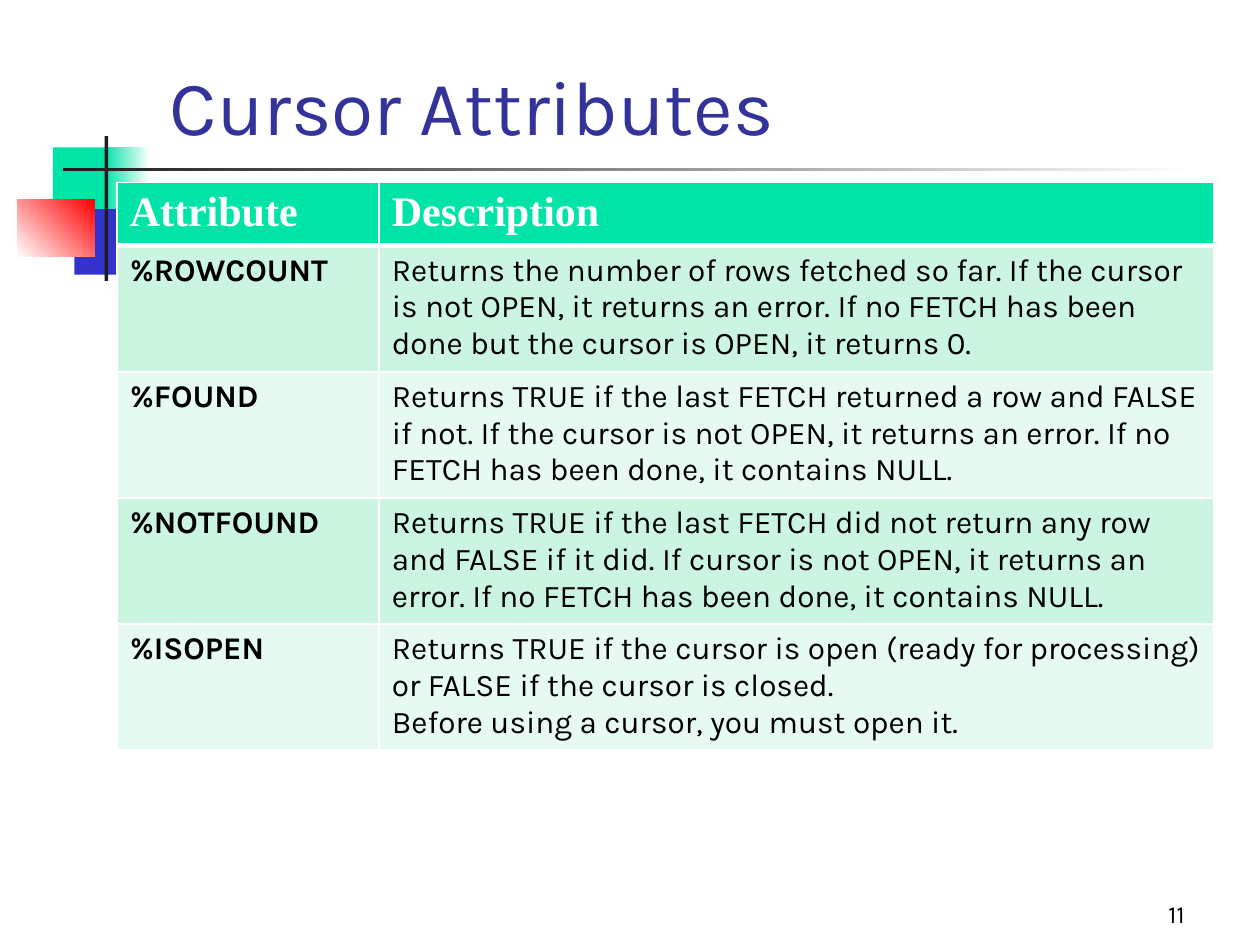
from lxml import etree
from pptx import Presentation
from pptx.dml.color import RGBColor
from pptx.enum.shapes import MSO_SHAPE as Shape
from pptx.enum.text import MSO_ANCHOR as Anchor, PP_ALIGN as Align
from pptx.oxml.ns import qn
from pptx.util import Inches, Pt

WHITE = RGBColor(0xFF, 0xFF, 0xFF)
BLACK = RGBColor(0x00, 0x00, 0x00)
GREEN = RGBColor(0x00, 0xE4, 0xA8)
BLUE = RGBColor(0x33, 0x33, 0xCC)
RED = RGBColor(0xFF, 0x00, 0x00)
CHARCOAL = RGBColor(0x1C, 0x1C, 0x1C)
INDIGO = RGBColor(0x33, 0x33, 0x99)
MINT = RGBColor(0xCC, 0xF5, 0xE1)
PALE_MINT = RGBColor(0xE7, 0xFA, 0xF1)

HEADINGS = ("Attribute", "Description")
ATTRIBUTES = [
    ("%ROWCOUNT", "Returns the number of rows fetched so far. If the cursor is not OPEN, "
     "it returns an error. If no FETCH has been done but the cursor is OPEN, it returns 0."),
    ("%FOUND", "Returns TRUE if the last FETCH returned a row and FALSE if not. "
     "If the cursor is not OPEN, it returns an error. If no FETCH has been done, it contains NULL."),
    ("%NOTFOUND", "Returns TRUE if the last FETCH did not return any row and FALSE if it did. "
     "If cursor is not OPEN, it returns an error. If no FETCH has been done, it contains NULL."),
    ("%ISOPEN", "Returns TRUE if the cursor is open (ready for processing) or FALSE if the cursor "
     "is closed.\nBefore using a cursor, you must open it."),
]


def write(frame, text, size=18, color=BLACK, font="Karla", bold=False, align=Align.LEFT):
    for index, line in enumerate(text.split("\n")):
        para = frame.add_paragraph() if index else frame.paragraphs[0]
        para.alignment = align
        span = para.add_run()
        span.text = line
        span.font.name = font
        span.font.size = Pt(size)
        span.font.bold = bold
        span.font.color.rgb = color


def add_text(page, box, text, **style):
    frame = page.shapes.add_textbox(*map(Inches, box)).text_frame
    frame.word_wrap = True
    frame.vertical_anchor = Anchor.BOTTOM
    write(frame, text, **style)


def add_block(page, box, start, end=None, angle=0):
    block = page.shapes.add_shape(Shape.RECTANGLE, *map(Inches, box))
    block.shadow.inherit = False
    block.line.fill.background()
    if end is None:
        block.fill.solid()
        block.fill.fore_color.rgb = start
        return
    block.fill.gradient()
    block.fill.gradient_angle = angle
    for stop, color, position in zip(block.fill.gradient_stops, (start, end), (0, 1)):
        stop.color.rgb = color
        stop.position = position


def add_ornament(page, box):
    left, top, width, height = box
    add_block(page, (left + 0.28, top + 0.09, 0.48, 0.52), GREEN)
    add_block(page, (left + 0.69, top + 0.09, 0.36, 0.52), GREEN, WHITE)
    add_block(page, (left + 0.45, top + 0.58, 0.46, 0.52), BLUE)
    add_block(page, (left + 0.86, top + 0.58, 0.4, 0.52), BLUE, WHITE)
    add_block(page, (left, top + 0.5, 0.61, 0.46), WHITE, RED, angle=45)
    add_block(page, (left + 0.69, top, 0.03, height), CHARCOAL)
    add_block(page, (left + 0.36, top + 0.25, width - 0.36, 0.03), CHARCOAL, WHITE)


def set_borders(cell, top, bottom):
    properties = cell._tc.get_or_add_tcPr()
    for index, (side, points) in enumerate(zip("LRTB", (1, 1, top, bottom))):
        line = etree.Element(qn(f"a:ln{side}"), w=str(Pt(points)))
        fill = etree.SubElement(line, qn("a:solidFill"))
        etree.SubElement(fill, qn("a:srgbClr"), val=str(WHITE))
        properties.insert(index, line)


def fill_cell(cell, text, fill, top=1, bottom=1, **style):
    cell.fill.solid()
    cell.fill.fore_color.rgb = fill
    set_borders(cell, top, bottom)
    write(cell.text_frame, text, **style)


def add_attribute_table(page, box):
    left, top, width, height = box
    header_height, name_width = 0.47, 2.08
    frame = page.shapes.add_table(len(ATTRIBUTES) + 1, len(HEADINGS), *map(Inches, box))
    table = frame.table
    table.columns[0].width = Inches(name_width)
    table.columns[1].width = Inches(width - name_width)
    table.rows[0].height = Inches(header_height)
    for column, heading in enumerate(HEADINGS):
        fill_cell(table.cell(0, column), heading, GREEN, bottom=3,
                  size=24, color=WHITE, font="Times New Roman", bold=True)
    for row, texts in enumerate(ATTRIBUTES, start=1):
        table.rows[row].height = Inches((height - header_height) / len(ATTRIBUTES))
        for column, text in enumerate(texts):
            fill_cell(table.cell(row, column), text, MINT if row % 2 else PALE_MINT,
                      top=3 if row == 1 else 1, bold=column == 0)


def main():
    deck = Presentation()
    deck.slide_width, deck.slide_height = Inches(10), Inches(7.5)
    page = deck.slides.add_slide(deck.slide_layouts[6])
    add_ornament(page, (0.14, 1.08, 9.36, 1.15))
    add_text(page, (1.25, 0, 8.52, 1.25), "Cursor Attributes", size=44, color=INDIGO)
    add_text(page, (7.42, 6.92, 2.08, 0.5), "11", size=14, align=Align.RIGHT)
    add_attribute_table(page, (0.93, 1.45, 8.7, 4.39))
    deck.save("out.pptx")


if __name__ == "__main__":
    main()
